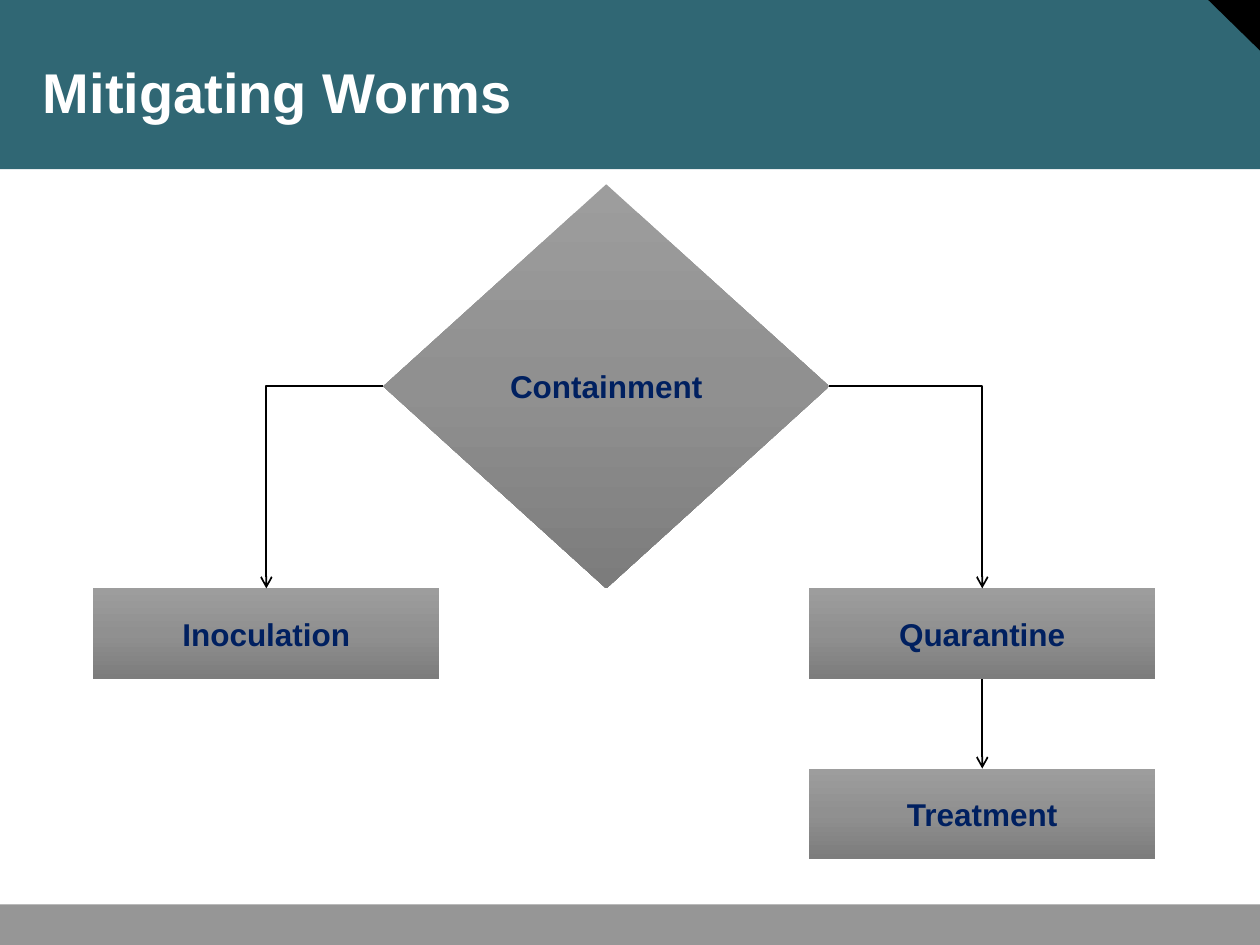
from copy import deepcopy

from pptx import Presentation
from pptx import util as u
from pptx.dml.color import RGBColor
from pptx.enum import shapes, text
from pptx.oxml import parse_xml
from pptx.oxml.ns import nsdecls, qn

WIDTH, HEIGHT = u.Inches(10), u.Inches(7.5)
SHAPE = shapes.MSO_SHAPE
TOP, LEFT, BOTTOM, RIGHT = range(4)


def colour(hex_string):
    return RGBColor.from_string(hex_string)


def share(box, x, y, w, h):
    left, top, width, height = box
    return (int(left + x * width), int(top + y * height),
            int(w * width), int(h * height))


def add_plain(slide, kind, box, fill=None):
    shape = slide.shapes.add_shape(kind, *box)
    shape.shadow.inherit = False
    shape.line.fill.background()
    if fill:
        shape.fill.solid()
        shape.fill.fore_color.rgb = colour(fill)
    return shape


def style_text(frame, words, size, hex_string, align, anchor):
    frame.text = words
    frame.word_wrap = True
    frame.vertical_anchor = anchor
    paragraph = frame.paragraphs[0]
    paragraph.alignment = align
    font = paragraph.font
    font.name, font.size, font.bold = "Arial", u.Pt(size), True
    font.color.rgb = colour(hex_string)


def shade(shape):
    shape.fill.gradient()
    shape.fill.gradient_angle = 270
    stops = shape._element.spPr.find(qn("a:gradFill")).find(qn("a:gsLst"))
    stops.insert(1, deepcopy(stops[0]))
    tones = ((0, "9D9D9D"), (0.5, "909090"), (1, "7C7C7C"))
    for stop, (position, tone) in zip(shape.fill.gradient_stops, tones):
        stop.position = position
        stop.color.rgb = colour(tone)


def add_step(slide, kind, words, box):
    step = add_plain(slide, kind, box)
    shade(step)
    style_text(step.text_frame, words, 18, "002060",
               text.PP_ALIGN.CENTER, text.MSO_ANCHOR.MIDDLE)
    return step


def add_arrow(slide, source, exit_side, target, bent=False):
    kind = shapes.MSO_CONNECTOR.ELBOW if bent else shapes.MSO_CONNECTOR.STRAIGHT
    arrow = slide.shapes.add_connector(kind, 0, 0, 0, 0)
    arrow.begin_connect(source, exit_side)
    arrow.end_connect(target, TOP)
    arrow.line.width = u.Pt(1)
    arrow.line.color.rgb = colour("000000")
    properties = arrow._element.spPr
    if bent:
        properties.find(qn("a:prstGeom")).set("prst", "bentConnector2")
    properties.find(qn("a:ln")).append(
        parse_xml(f'<a:tailEnd {nsdecls("a")} type="arrow"/>'))
    properties.append(parse_xml(f'<a:effectLst {nsdecls("a")}/>'))


def add_header(slide, box, words):
    add_plain(slide, SHAPE.RECTANGLE, box, "306774")
    corner = add_plain(slide, SHAPE.RIGHT_TRIANGLE,
                       share(box, 0.958, -0.007, 0.042, 0.306), "000000")
    corner.rotation = 180
    title = slide.shapes.title
    slide.shapes._spTree.append(title._element)
    title.left, title.top, title.width, title.height = share(
        box, 0.025, 0.082, 0.967, 0.687)
    frame = title.text_frame
    frame.margin_left = frame.margin_right = u.Inches(0.09)
    frame.margin_top = frame.margin_bottom = u.Inches(0.04)
    style_text(frame, words, 32, "FFFFFF",
               text.PP_ALIGN.LEFT, text.MSO_ANCHOR.BOTTOM)


def add_flowchart(slide, box):
    step_width, step_height = 0.326, 0.134
    right_column = 1 - step_width
    upper_row, lower_row = 0.599, 1 - step_height

    containment = add_step(slide, SHAPE.DIAMOND, "Containment",
                           share(box, 0.273, 0, 0.42, upper_row))
    inoculation, quarantine, treatment = [
        add_step(slide, SHAPE.RECTANGLE, words,
                 share(box, x, y, step_width, step_height))
        for words, x, y in (("Inoculation", 0, upper_row),
                            ("Quarantine", right_column, upper_row),
                            ("Treatment", right_column, lower_row))]

    add_arrow(slide, containment, LEFT, inoculation, bent=True)
    add_arrow(slide, containment, RIGHT, quarantine, bent=True)
    add_arrow(slide, quarantine, BOTTOM, treatment)


def main():
    deck = Presentation()
    deck.slide_width, deck.slide_height = WIDTH, HEIGHT
    slide = deck.slides.add_slide(deck.slide_layouts[5])
    page = (0, 0, WIDTH, HEIGHT)
    add_header(slide, share(page, 0, 0, 1, 0.179), "Mitigating Worms")
    add_plain(slide, SHAPE.RECTANGLE, share(page, 0, 0.957, 1, 0.043), "969696")
    add_flowchart(slide, share(page, 0.074, 0.195, 0.843, 0.714))
    deck.save("out.pptx")


if __name__ == "__main__":
    main()
